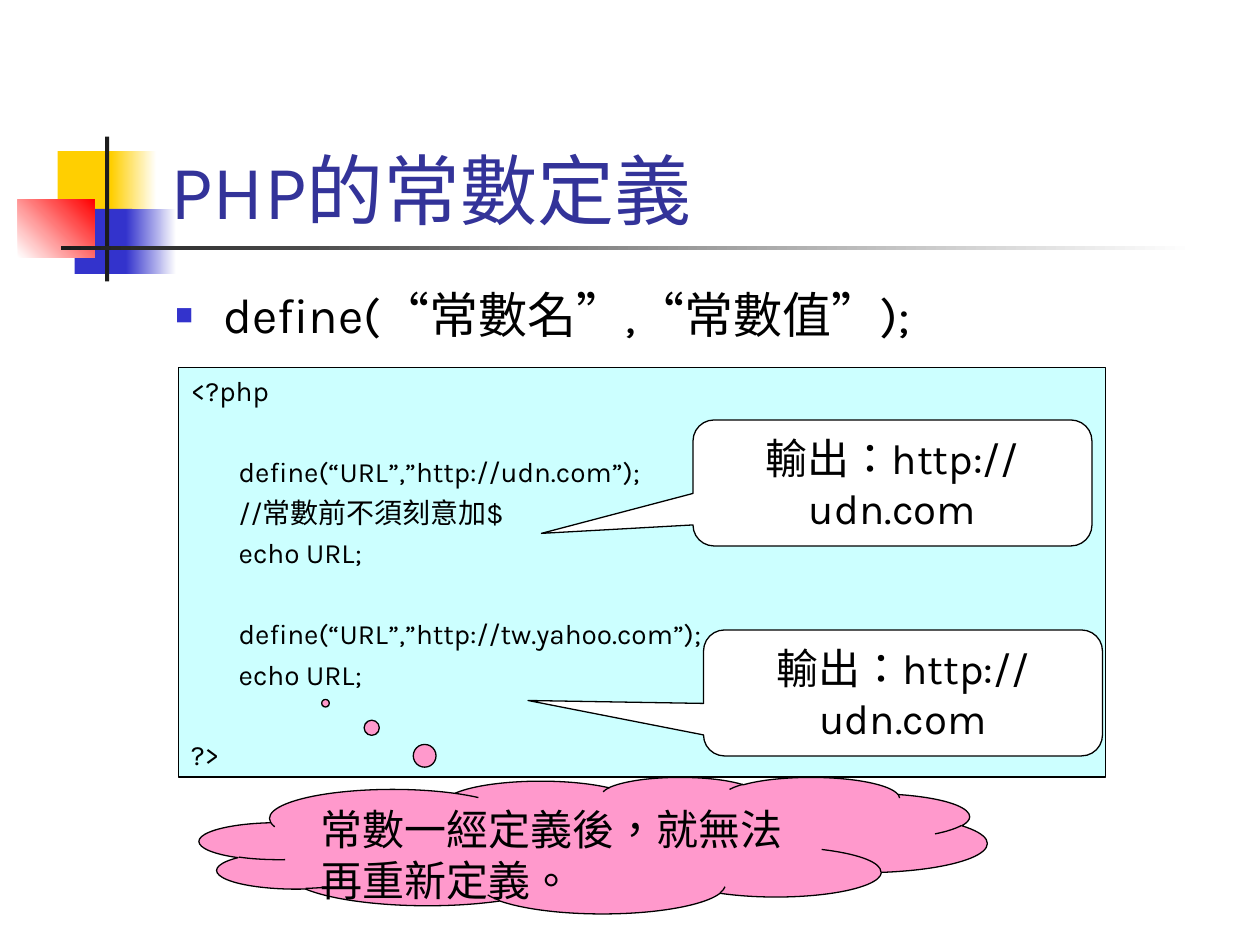
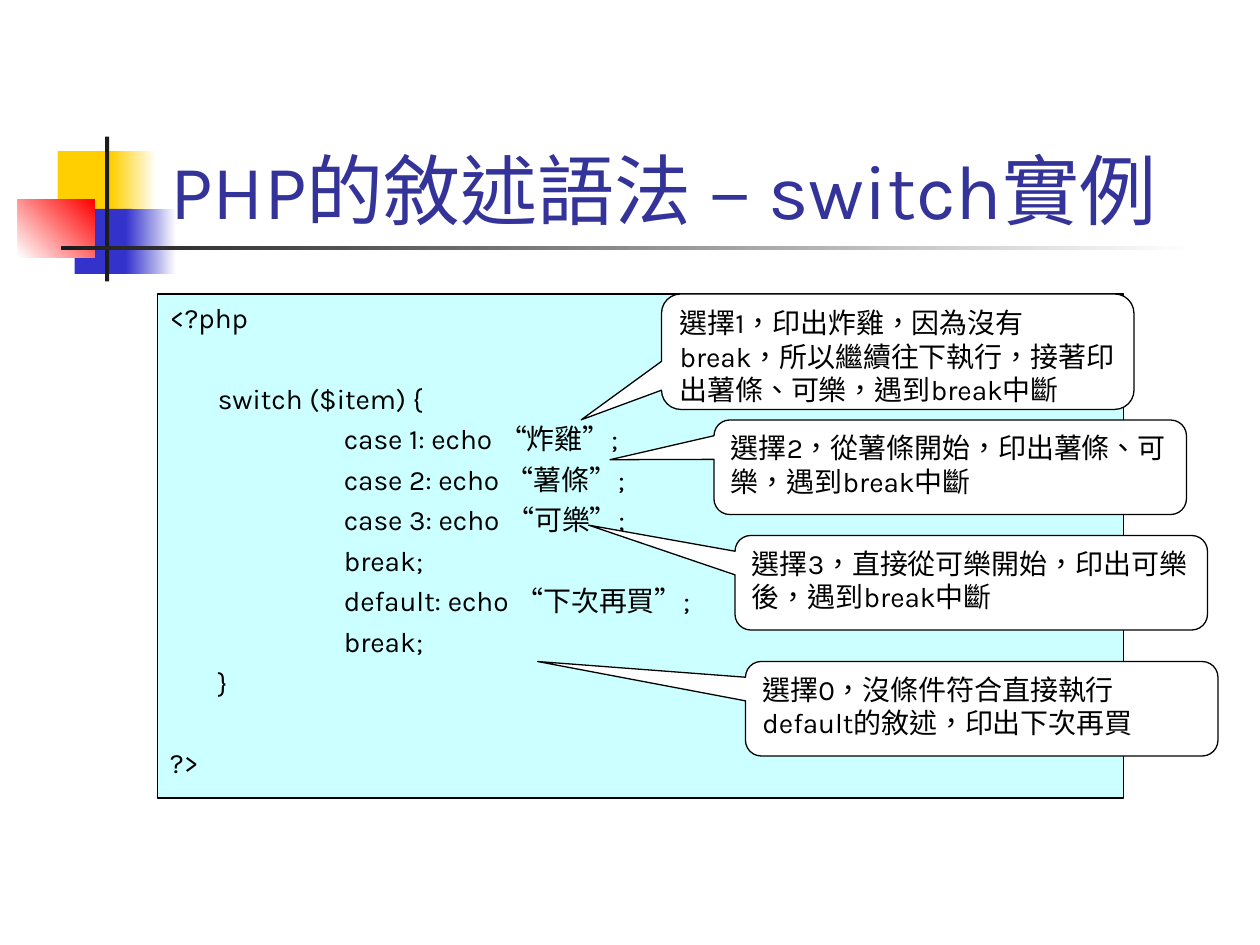
"""Build two slides on PHP constants and the switch statement."""
import dataclasses

import lxml.etree
import pptx
import pptx.dml.color
import pptx.enum.lang
import pptx.enum.shapes
import pptx.enum.text
import pptx.oxml.ns
import pptx.util


@dataclasses.dataclass(frozen=True)
class Theme:
    font: str = "Karla"
    title: str = "333399"
    ink: str = "000000"
    white: str = "FFFFFF"
    yellow: str = "FFCF01"
    blue: str = "3333CC"
    red: str = "FF0000"
    bar: str = "1C1C1C"
    code: str = "CCFFFF"
    cloud: str = "FF99CC"
    title_size: int = 44
    list_size: int = 28
    speech_size: int = 24
    code_size: int = 16
    outline: float = 0.75


THEME = Theme()
COLUMNS, ROWS = 120, 90
RGB = pptx.dml.color.RGBColor.from_string
SHAPES = pptx.enum.shapes.MSO_SHAPE
ALIGN = pptx.enum.text.PP_ALIGN
TOP = pptx.enum.text.MSO_ANCHOR.TOP
BOTTOM = pptx.enum.text.MSO_ANCHOR.BOTTOM

deck = pptx.Presentation()
deck.slide_width = pptx.util.Inches(10)
deck.slide_height = pptx.util.Inches(7.5)
column = deck.slide_width / COLUMNS
row = deck.slide_height / ROWS


def place(left, top, width, height):
    """Turn grid cells into lengths."""
    return [int(left * column), int(top * row), int(width * column), int(height * row)]


def write(frame, lines, size, color, anchor=TOP, align=ALIGN.LEFT):
    """Write (left indent, space before, text) lines into a text frame."""
    frame.word_wrap = True
    frame.auto_size = pptx.enum.text.MSO_AUTO_SIZE.NONE
    frame.vertical_anchor = anchor
    for number, (indent, gap, text) in enumerate(lines):
        paragraph = frame.paragraphs[0] if number == 0 else frame.add_paragraph()
        paragraph.alignment = align
        paragraph.space_before = pptx.util.Pt(gap)
        properties = paragraph._p.get_or_add_pPr()
        properties.set("marL", str(pptx.util.Inches(indent)))
        properties.set("indent", "0")
        run = paragraph.add_run()
        run.text = text
        run.font.name = THEME.font
        run.font.size = pptx.util.Pt(size)
        run.font.color.rgb = RGB(color)
        run.font.language_id = pptx.enum.lang.MSO_LANGUAGE_ID.TRADITIONAL_CHINESE


NEAR, BLANK = 4, 27
STEP, DEEP = 0.38, 1.38
pages = [
    {
        "layout": 1,
        "title": "PHP的常數定義",
        "syntax": "define(“常數名”,“常數值”);",
        "code_at": (17, 35, 88.3, 39),
        "code": [
            (0, 0, "<?php"),
            (STEP, BLANK, "define(“URL”,”http://udn.com”);"),
            (STEP, NEAR, "//常數前不須刻意加$"),
            (STEP, NEAR, "echo URL;"),
            (STEP, BLANK, "define(“URL”,”http://tw.yahoo.com”);"),
            (STEP, NEAR, "echo URL;"),
            (0, BLANK, "?>"),
        ],
        "speech_size": THEME.speech_size,
        "speech_align": ALIGN.CENTER,
        "speeches": [
            ((66, 40, 38, 12), (-0.88, 0.4), "輸出：http://udn.com"),
            ((67, 60, 38, 12), (-0.94, 0.06), "輸出：http://udn.com"),
        ],
        "thought": "常數一經定義後，就無法再重新定義。",
    },
    {
        "layout": 5,
        "title": "PHP的敘述語法 – switch實例",
        "code_at": (15, 28, 92, 48),
        "code": [
            (0, 0, "<?php"),
            (STEP, BLANK, "switch ($item) {"),
            (DEEP, NEAR, "case 1: echo “炸雞”;"),
            (DEEP, NEAR, "case 2: echo “薯條”;"),
            (DEEP, NEAR, "case 3: echo “可樂”;"),
            (DEEP, NEAR, "break;"),
            (DEEP, NEAR, "default: echo “下次再買”;"),
            (DEEP, NEAR, "break;"),
            (STEP, NEAR, "}"),
            (0, BLANK, "?>"),
        ],
        "speech_size": THEME.code_size,
        "speech_align": ALIGN.LEFT,
        "speeches": [
            ((63, 28, 45, 11), (-0.67, 0.59),
             "選擇1，印出炸雞，因為沒有break，所以繼續往下執行，接著印出薯條、可樂，遇到break中斷"),
            ((68, 40, 45, 9), (-0.72, -0.08), "選擇2，從薯條開始，印出薯條、可樂，遇到break中斷"),
            ((70, 51, 45, 9), (-0.81, -0.61), "選擇3，直接從可樂開始，印出可樂後，遇到break中斷"),
            ((71, 63, 45, 9), (-0.94, -0.5), "選擇0，沒條件符合直接執行default的敘述，印出下次再買"),
        ],
    },
]
slides = [deck.slides.add_slide(deck.slide_layouts[page["layout"]]) for page in pages]

emblem = [
    ((5.5, 14.4, 5.8, 6.2), [THEME.yellow], 0),
    ((10.6, 14.4, 4.3, 6.2), [THEME.yellow, THEME.white], 0),
    ((7.1, 19.9, 5.5, 6.2), [THEME.blue], 0),
    ((12, 19.9, 4.8, 6.2), [THEME.blue, THEME.white], 0),
    ((1.7, 19, 7.3, 5.5), [THEME.white, THEME.red], 45),
    ((10, 13, 0.4, 13.8), [THEME.bar], 0),
    ((5.8, 23.4, 108, 0.4), [THEME.bar, THEME.white], 0),
]
master_tree = deck.slide_master.shapes._spTree
for number, (cells, colors, angle) in enumerate(emblem):
    block = slides[0].shapes.add_shape(SHAPES.RECTANGLE, *place(*cells))
    block.shadow.inherit = False
    block.line.fill.background()
    if len(colors) == 1:
        block.fill.solid()
        block.fill.fore_color.rgb = RGB(colors[0])
    else:
        block.fill.gradient()
        block.fill.gradient_angle = angle
        for stop, color in zip(block.fill.gradient_stops, colors):
            stop.color.rgb = RGB(color)
    block._element.nvSpPr.cNvPr.set("id", str(100 + number))
    master_tree.insert(2 + number, block._element)

for slide, page in zip(slides, pages):
    title = slide.shapes.title
    title.left, title.top, title.width, title.height = place(15, 8, 102.2, 15)
    write(title.text_frame, [(0, 0, page["title"])], THEME.title_size, THEME.title, BOTTOM)

    if "syntax" in page:
        syntax = slide.placeholders[1]
        syntax.left, syntax.top, syntax.width, syntax.height = place(15.5, 26.5, 102, 8.5)
        write(syntax.text_frame, [(STEP, 0, page["syntax"])], THEME.list_size, THEME.ink)
        properties = syntax.text_frame.paragraphs[0]._p.get_or_add_pPr()
        properties.set("indent", str(-pptx.util.Inches(STEP)))
        bullet_color = lxml.etree.SubElement(properties, pptx.oxml.ns.qn("a:buClr"))
        lxml.etree.SubElement(bullet_color, pptx.oxml.ns.qn("a:srgbClr"), val=THEME.blue)
        lxml.etree.SubElement(properties, pptx.oxml.ns.qn("a:buSzPct"), val="60000")
        lxml.etree.SubElement(properties, pptx.oxml.ns.qn("a:buChar"), char="■")

    panels = [(SHAPES.RECTANGLE, page["code_at"], (), THEME.code,
               page["code"], THEME.code_size, ALIGN.LEFT)]
    for cells, tip, speech in page["speeches"]:
        panels.append((SHAPES.ROUNDED_RECTANGULAR_CALLOUT, cells, tip, THEME.white,
                       [(0, 0, speech)], page["speech_size"], page["speech_align"]))
    if "thought" in page:
        panels.append((SHAPES.CLOUD_CALLOUT, (19, 74, 75, 13), (-0.34, -1.04), THEME.cloud,
                       [(0, 0, page["thought"])], THEME.speech_size, ALIGN.LEFT))

    for preset, cells, tip, color, lines, size, align in panels:
        panel = slide.shapes.add_shape(preset, *place(*cells))
        panel.shadow.inherit = False
        for index, offset in enumerate(tip):
            panel.adjustments[index] = offset
        panel.fill.solid()
        panel.fill.fore_color.rgb = RGB(color)
        panel.line.color.rgb = RGB(THEME.ink)
        panel.line.width = pptx.util.Pt(THEME.outline)
        write(panel.text_frame, lines, size, THEME.ink, align=align)

deck.save("out.pptx")
